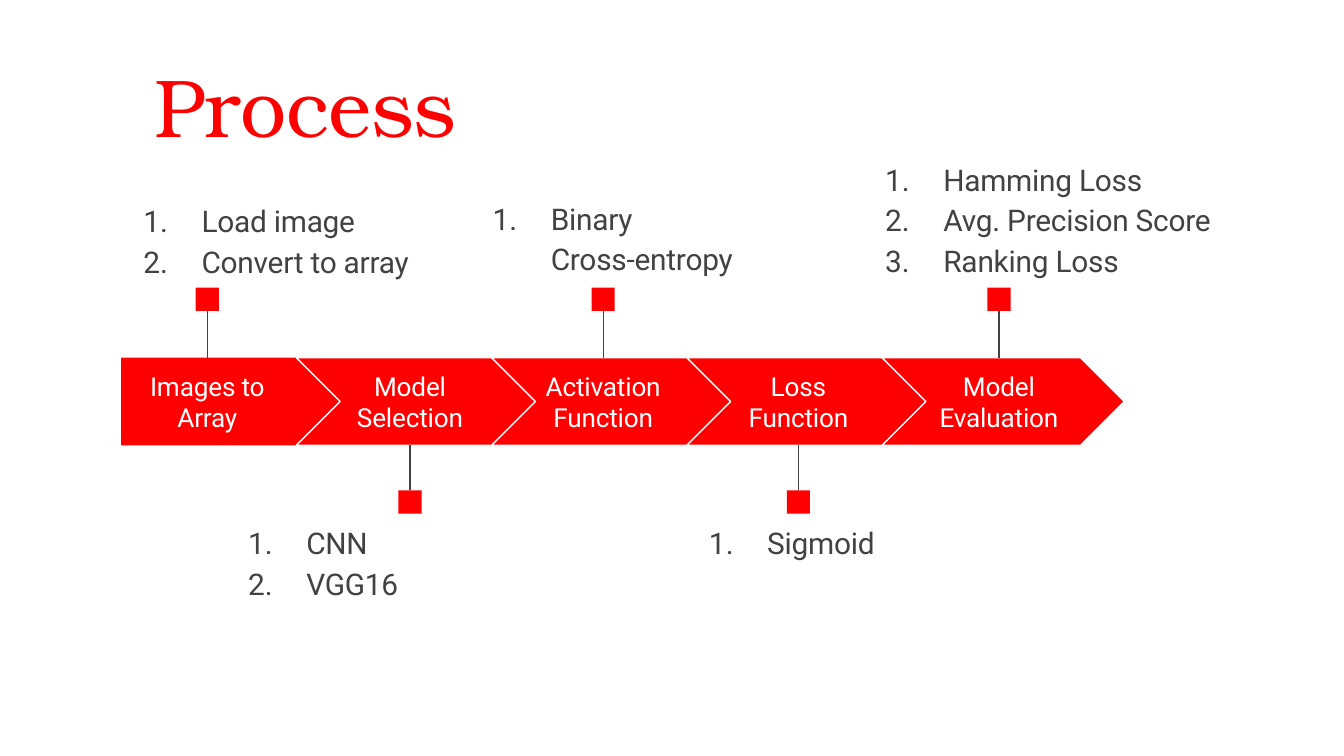
from lxml import etree
from pptx import Presentation, util as u
from pptx.dml.color import RGBColor
from pptx.enum import shapes, text
from pptx.oxml.ns import qn

RED, WHITE, GREY = "FF0000", "FFFFFF", "424242"
BAND_TOP, BAND_HEIGHT = 6.76, 1.66
BAND_BOTTOM = BAND_TOP + BAND_HEIGHT
MARKER = 0.44
LIST_INDENT = 1.14

STEPS = [
    ("Images to\vArray", 3.92, True),
    ("Model\vSelection", 7.75, False),
    ("Activation\vFunction", 11.4, True),
    ("Loss\vFunction", 15.09, False),
    ("Model\vEvaluation", 18.88, True),
]
DETAILS = [
    (2.67, 3.72, 5.16, ["Load image", "Convert to array"], 2),
    (4.65, 9.8, 2.92, ["CNN", "VGG16"], 2),
    (9.27, 3.67, 4.67, ["Binary", "Cross-entropy"], 1),
    (13.36, 9.8, 3.23, ["Sigmoid"], 1),
    (16.69, 2.93, 6.3, ["Hamming Loss", "Avg. Precision Score", "Ranking Loss"], 3),
]


def color(value):
    return RGBColor.from_string(value)


def add_block(slide, left, top, width, height, preset, outline=None):
    block = slide.shapes.add_shape(preset, u.Cm(left), u.Cm(top), u.Cm(width), u.Cm(height))
    block.shadow.inherit = False
    block.fill.solid()
    block.fill.fore_color.rgb = color(RED)
    if outline:
        block.line.color.rgb = color(outline)
        block.line.width = u.Pt(0.75)
    else:
        block.line.fill.background()
    return block


def add_text(slide, left, top, width, height, lines, size, fill, font="Roboto",
             inset=0.0, before=0, align=text.PP_ALIGN.LEFT):
    box = slide.shapes.add_textbox(u.Cm(left), u.Cm(top), u.Cm(width), u.Cm(height))
    frame = box.text_frame
    frame.word_wrap = True
    frame.margin_left = frame.margin_right = frame.margin_bottom = 0
    frame.margin_top = u.Cm(inset)
    frame.text = "\n".join(lines)
    for paragraph in frame.paragraphs:
        paragraph.alignment = align
        paragraph.space_before = u.Pt(before)
        for run in paragraph.runs:
            run.font.size = u.Pt(size)
            run.font.name = font
            run.font.color.rgb = color(fill)
            run.font._element.set("spc", "-10")
    return frame


def add_details(slide, left, top, width, lines, numbered):
    frame = add_text(slide, left, top, width, 0.2 + 0.75 * len(lines), lines, 16, GREY,
                     inset=0.12, before=2.5)
    for index, paragraph in enumerate(frame.paragraphs):
        properties = paragraph._p.get_or_add_pPr()
        properties.set("marL", str(u.Cm(LIST_INDENT)))
        if index < numbered:
            properties.set("indent", str(u.Cm(-1.1)))
            etree.SubElement(properties, qn("a:buAutoNum"), type="arabicPeriod")


def add_callout(slide, center, above):
    marker_top = 5.44 if above else 9.27
    marker = add_block(slide, center - MARKER / 2, marker_top, MARKER, MARKER,
                       shapes.MSO_SHAPE.RECTANGLE)
    band_edge = u.Cm(BAND_TOP if above else BAND_BOTTOM)
    x = u.Cm(center)
    stem = slide.shapes.add_connector(shapes.MSO_CONNECTOR.STRAIGHT, x, band_edge, x, band_edge)
    stem.begin_connect(marker, 2 if above else 0)
    stem.line.color.rgb = color(GREY)
    stem.line.width = u.Pt(0.75)
    etree.SubElement(stem._element.spPr, qn("a:effectLst"))


def add_step_label(slide, label, center):
    frame = add_text(slide, center - 1.5, 6.93, 3, 1.25, [label], 14, WHITE,
                     inset=0.08, before=1.8, align=text.PP_ALIGN.CENTER)
    frame.paragraphs[0].line_spacing = u.Pt(16.5)


def main():
    deck = Presentation()
    deck.slide_width, deck.slide_height = u.Cm(25.4), u.Cm(14.29)
    slide = deck.slides.add_slide(deck.slide_layouts[6])

    title = add_text(slide, 2.67, 1.02, 6.2, 1.9, ["Process"], 44, RED, "TeX Gyre Bonum",
                     before=1, align=text.PP_ALIGN.CENTER)
    title.vertical_anchor = text.MSO_ANCHOR.MIDDLE

    add_block(slide, 2.29, BAND_TOP, 4.19, BAND_HEIGHT, shapes.MSO_SHAPE.PENTAGON)
    for index in range(len(STEPS) - 1):
        add_block(slide, 5.6 + 3.69 * index, BAND_TOP, 4.58, BAND_HEIGHT,
                  shapes.MSO_SHAPE.CHEVRON, WHITE)
    for label, center, above in STEPS:
        add_callout(slide, center, above)
        add_step_label(slide, label, center)
    for details in DETAILS:
        add_details(slide, *details)

    deck.save("out.pptx")


if __name__ == "__main__":
    main()
